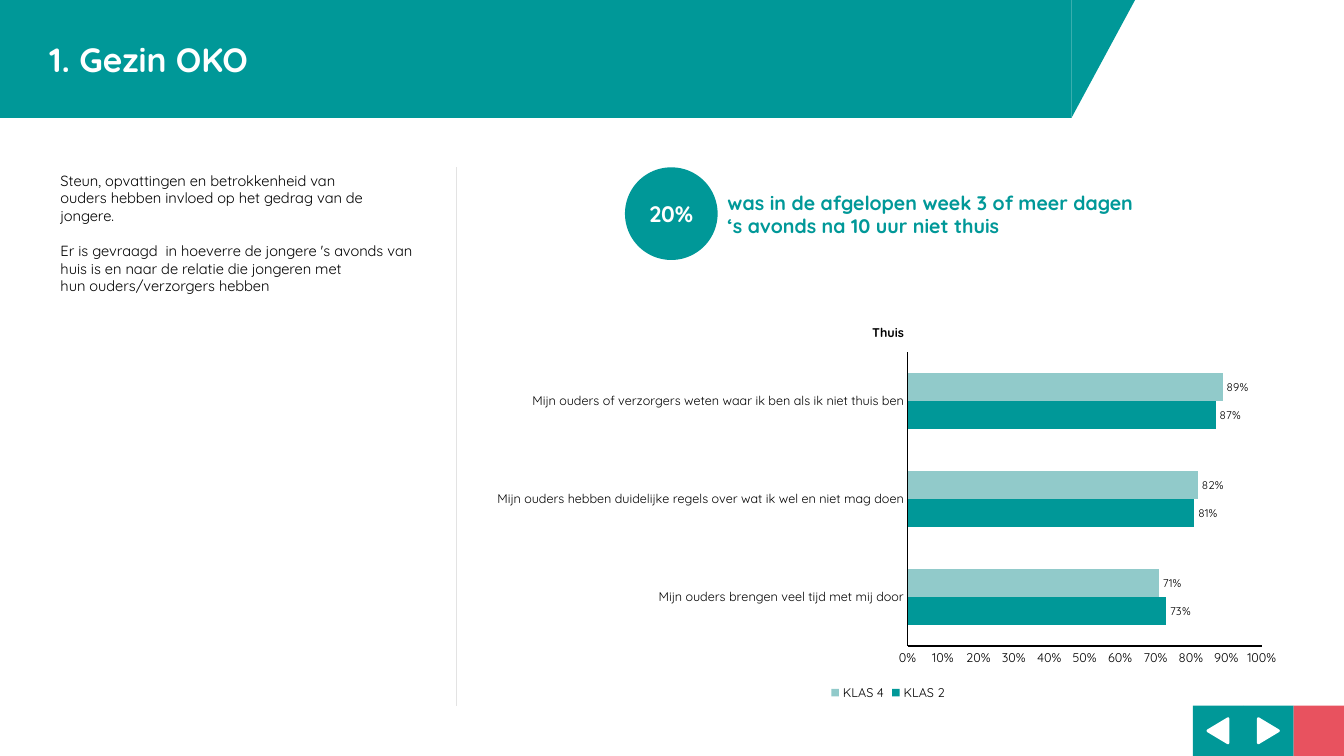
"""Build the family slide with its callout and its clustered bar chart."""
from lxml import etree
from pptx import Presentation
from pptx.chart.data import CategoryChartData
from pptx.dml.color import RGBColor
from pptx.enum import chart as charts, shapes, text
from pptx.oxml import parse_xml
from pptx.oxml.ns import nsdecls, qn
from pptx.util import Pt

TEAL, LIGHT_TEAL, RED = "009898", "91CACA", "E8525F"
GREY, BLACK, WHITE = "E3E3E3", "000000", "FFFFFF"
FONT = "Quicksand"
NBSP = chr(160)

TITLE = "1. Gezin OKO"
INTRO = [
    "Steun, opvattingen en betrokkenheid~van ouders~hebben invloed op het gedrag van de jongere.",
    "Er is~gevraagd~ in hoeverre de jongere 's avonds van huis is en~naar~de relatie~die jongeren met hun~ouders/verzorgers hebben",
]
SHARE = "20%"
CALLOUT = "was in de afgelopen week 3 of meer dagen ‘s avonds na 10 uur niet thuis"
CHART_TITLE = "Thuis"
CATEGORIES = [
    "Mijn ouders brengen veel tijd met mij door",
    "Mijn ouders hebben duidelijke regels over wat ik wel en niet mag doen",
    "Mijn ouders of verzorgers weten waar ik ben als ik niet thuis ben",
]
SERIES = [
    ("KLAS 2", [0.73, 0.81, 0.87], TEAL),
    ("KLAS 4", [0.71, 0.82, 0.89], LIGHT_TEAL),
]
NAVIGATION = [(TEAL, 270), (TEAL, 90), (RED, None)]
PLOT_AREA = {"x": 0.524, "y": 0.112, "w": 0.436, "h": 0.741}

WIDTH, HEIGHT = 960, 540
HEADER_WIDTH, HEADER_HEIGHT, SLANT_WIDTH = 765.4, 84.2, 45.4
BUTTON = 36
ARROW_WIDTH, ARROW_HEIGHT = 17.3, 14.4
DIVIDER_X, CONTENT_TOP = 326, 119.5
CIRCLE_LEFT, CIRCLE_SIZE = 446.4, 66.2


def color(value):
    return RGBColor.from_string(value)


def apply(target, formats):
    for name, value in formats.items():
        setattr(target, name, value)


def style_font(font, size, value=BLACK, bold=False):
    apply(font, {"name": FONT, "size": Pt(size), "bold": bold})
    font.color.rgb = color(value)


def place(shape, *box):
    apply(shape, dict(zip(("left", "top", "width", "height"), map(Pt, box))))


def paint(shape, value):
    shape.fill.solid()
    shape.fill.fore_color.rgb = color(value)


def add_filled(slide, kind, box, value):
    shape = slide.shapes.add_shape(kind, *map(Pt, box))
    shape.shadow.inherit = False
    paint(shape, value)
    shape.line.fill.background()
    return shape


def write(shape, paragraphs, size, value, bold=False, align=text.PP_ALIGN.LEFT,
          anchor=text.MSO_ANCHOR.TOP, gap=0, **formats):
    frame = shape.text_frame
    apply(frame, {"word_wrap": True, "auto_size": text.MSO_AUTO_SIZE.NONE,
                  "vertical_anchor": anchor, **formats})
    for index, content in enumerate(paragraphs):
        paragraph = frame.paragraphs[0] if index == 0 else frame.add_paragraph()
        properties = paragraph._p.get_or_add_pPr()
        apply(paragraph, {"alignment": align, "space_before": Pt(gap if index else 0)})
        properties.set("marL", "0")
        properties.set("indent", "0")
        etree.SubElement(properties, qn("a:buNone"))
        run = paragraph.add_run()
        run.text = content.replace("~", NBSP)
        style_font(run.font, size, value, bold)


def add_header(slide):
    title = slide.shapes.title
    place(title, 0, 0, HEADER_WIDTH, HEADER_HEIGHT)
    paint(title, TEAL)
    write(title, [TITLE], 24, WHITE, True, anchor=text.MSO_ANCHOR.MIDDLE, margin_left=Pt(35.3))
    slant = add_filled(slide, shapes.MSO_SHAPE.RIGHT_TRIANGLE,
                       (HEADER_WIDTH, 0, SLANT_WIDTH, HEADER_HEIGHT), TEAL)
    slant._element.spPr.find(qn("a:xfrm")).set("flipV", "1")


def add_navigation(slide):
    top = HEIGHT - BUTTON
    for index, (value, rotation) in enumerate(NAVIGATION):
        left = WIDTH - BUTTON * (len(NAVIGATION) - index)
        add_filled(slide, shapes.MSO_SHAPE.RECTANGLE, (left, top, BUTTON, BUTTON), value)
        if rotation is None:
            continue
        box = (left + (BUTTON - ARROW_WIDTH) / 2, top + (BUTTON - ARROW_HEIGHT) / 2,
               ARROW_WIDTH, ARROW_HEIGHT)
        arrow = add_filled(slide, shapes.MSO_SHAPE.ISOSCELES_TRIANGLE, box, WHITE)
        arrow.rotation = rotation
        arrow.line.color.rgb = color(WHITE)
        arrow.line.width = Pt(2)


def add_divider(slide):
    divider = slide.shapes.add_connector(
        shapes.MSO_CONNECTOR.STRAIGHT, Pt(DIVIDER_X), Pt(HEIGHT - BUTTON),
        Pt(DIVIDER_X), Pt(CONTENT_TOP))
    divider.line.color.rgb = color(GREY)
    divider.line.width = Pt(1)
    etree.SubElement(divider._element.spPr, qn("a:effectLst"))


def add_texts(slide):
    intro = slide.placeholders[1]
    place(intro, 36, 118.8, 269.3, 96.5)
    write(intro, INTRO, 10.5, BLACK, gap=12.6)
    circle = add_filled(slide, shapes.MSO_SHAPE.OVAL,
                        (CIRCLE_LEFT, CONTENT_TOP, CIRCLE_SIZE, CIRCLE_SIZE), TEAL)
    write(circle, [SHARE], 16, WHITE, True, text.PP_ALIGN.CENTER, text.MSO_ANCHOR.MIDDLE,
          margin_left=0, margin_right=0)
    callout = slide.shapes.add_textbox(
        Pt(CIRCLE_LEFT + CIRCLE_SIZE), Pt(132.5), Pt(316.8), Pt(41))
    write(callout, [CALLOUT], 14, TEAL, True)


def set_plot_area(chart):
    area = chart._chartSpace.chart.plotArea
    for layout in area.findall(qn("c:layout")):
        area.remove(layout)
    modes = "".join(f'<c:{key}Mode val="edge"/>' for key in "xy")
    sizes = "".join(f'<c:{key} val="{value}"/>' for key, value in PLOT_AREA.items())
    area.insert(0, parse_xml(
        f'<c:layout {nsdecls("c")}><c:manualLayout><c:layoutTarget val="inner"/>'
        f'{modes}{sizes}</c:manualLayout></c:layout>'))


def add_bar_chart(slide):
    data = CategoryChartData(number_format="0%")
    data.categories = CATEGORIES
    for name, values, _ in SERIES:
        data.add_series(name, values)
    chart = slide.shapes.add_chart(charts.XL_CHART_TYPE.BAR_CLUSTERED,
                                   Pt(344.2), Pt(219.6), Pt(580.3), Pt(283.7), data).chart
    style_font(chart.font, 9)
    chart.has_title = True
    run = chart.chart_title.text_frame.paragraphs[0].add_run()
    run.text = CHART_TITLE
    style_font(run.font, 9, bold=True)
    chart.has_legend = True
    apply(chart.legend, {"position": charts.XL_LEGEND_POSITION.BOTTOM,
                         "include_in_layout": False})
    style_font(chart.legend.font, 9)
    apply(chart.value_axis, {"minimum_scale": 0, "maximum_scale": 1, "major_unit": 0.1})
    apply(chart.value_axis.tick_labels, {"number_format": "0%", "number_format_is_linked": False})
    for axis in (chart.category_axis, chart.value_axis):
        apply(axis, {"has_major_gridlines": False,
                     "major_tick_mark": charts.XL_TICK_MARK.NONE,
                     "minor_tick_mark": charts.XL_TICK_MARK.NONE})
        style_font(axis.tick_labels.font, 9)
        axis.format.line.color.rgb = color(BLACK)
        axis.format.line.width = Pt(1)
    plot = chart.plots[0]
    apply(plot, {"gap_width": 150, "overlap": 0, "vary_by_categories": False})
    for series, (_, _, value) in zip(plot.series, SERIES):
        paint(series.format, value)
        labels = series.data_labels
        apply(labels, {"show_value": True, "number_format": "0%",
                       "number_format_is_linked": False,
                       "position": charts.XL_LABEL_POSITION.OUTSIDE_END})
        style_font(labels.font, 8)
    set_plot_area(chart)


def main():
    presentation = Presentation()
    apply(presentation, {"slide_width": Pt(WIDTH), "slide_height": Pt(HEIGHT)})
    slide = presentation.slides.add_slide(presentation.slide_layouts[1])
    for build in (add_header, add_navigation, add_divider, add_texts, add_bar_chart):
        build(slide)
    presentation.save("out.pptx")


if __name__ == "__main__":
    main()
